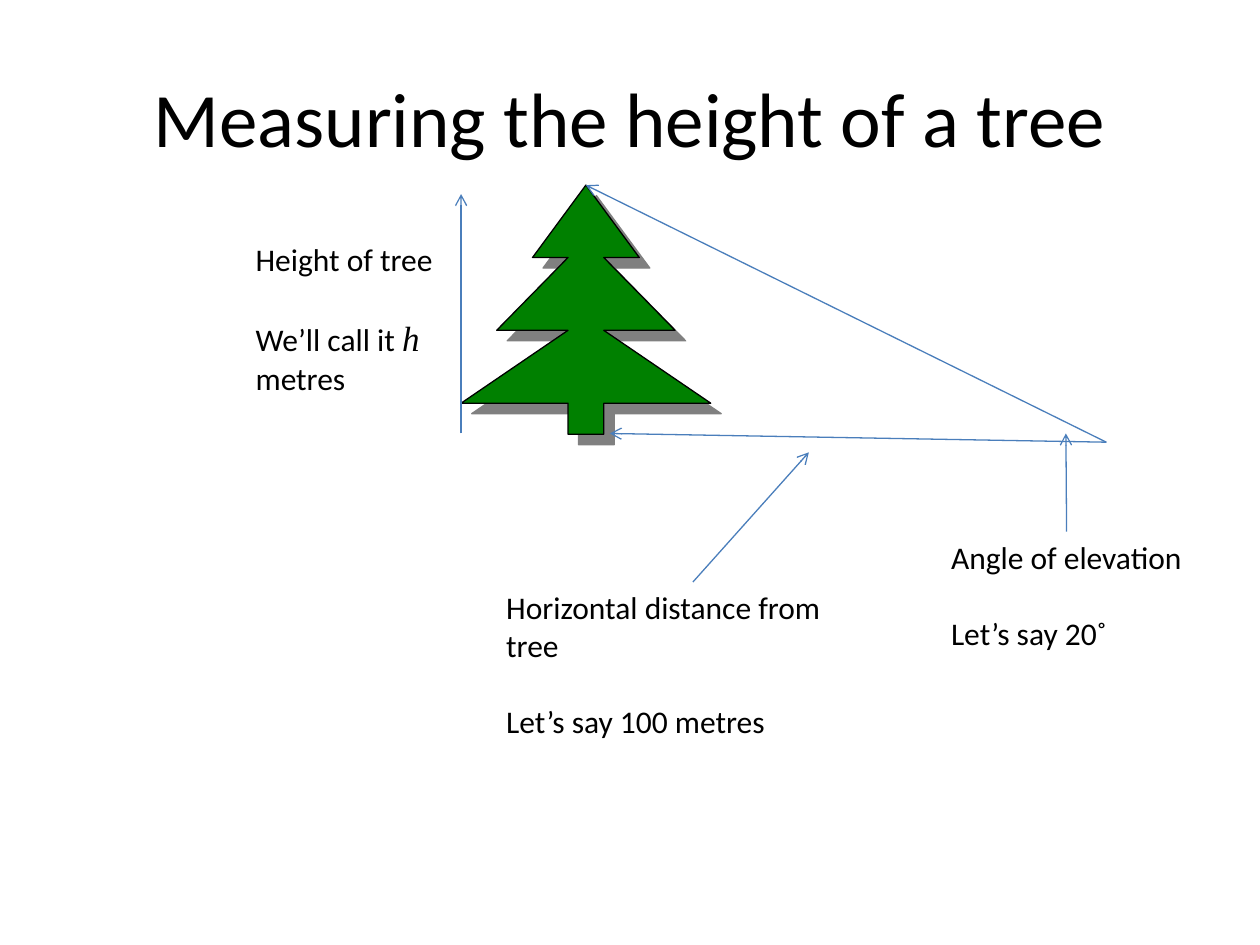
from lxml import etree
from pptx import Presentation
from pptx.dml.color import RGBColor
from pptx.enum.shapes import MSO_CONNECTOR
from pptx.enum.text import MSO_ANCHOR, PP_ALIGN
from pptx.oxml import parse_xml
from pptx.oxml.ns import nsdecls, qn
from pptx.util import Pt

STRAIGHT = MSO_CONNECTOR.STRAIGHT
TOP, MIDDLE = MSO_ANCHOR.TOP, MSO_ANCHOR.MIDDLE
LEFT, CENTER = PP_ALIGN.LEFT, PP_ALIGN.CENTER

prs = Presentation()
prs.slide_width, prs.slide_height = Pt(720), Pt(540)
s = prs.slides.add_slide(prs.slide_layouts[6])


def color(value):
    return RGBColor.from_string(value)


def add_text(paragraphs, x, y, w, h, size=18, align=LEFT, anchor=TOP, right=7.2, gap=22):
    """Each paragraph is a list of runs; gap is the space above the second one."""
    sp = s.shapes.add_textbox(Pt(x), Pt(y), Pt(w), Pt(h))
    tf = sp.text_frame
    tf.word_wrap = True
    tf.vertical_anchor = anchor
    tf.margin_right = Pt(right)
    for i, runs in enumerate(paragraphs):
        p = tf.paragraphs[0] if i == 0 else tf.add_paragraph()
        p.alignment = align
        if i == 1:
            p.space_before = Pt(gap)
        for text in runs:
            r = p.add_run()
            r.text = text
            is_variable = text == "h"
            r.font.name = "Times New Roman" if is_variable else "Calibri"
            r.font.size = Pt(size + 2 if is_variable else size)
            r.font.italic = is_variable
            r.font.color.rgb = color("000000")
    return sp


# Title
add_text([["Measuring the height of a tree"]], 36, 21.6, 648, 90,
         size=44, align=CENTER, anchor=MIDDLE)

# Tree: right half from the tip down, mirrored for the left half
CENTER_X = 334.8
half = [(0, 105.8), (30.5, 147.2), (10.2, 147.2), (51, 188.8), (10.2, 188.8),
        (71.3, 230.4), (10.2, 230.4), (10.2, 248.2)]
outline = [(CENTER_X + dx, y) for dx, y in half]
outline += [(CENTER_X - dx, y) for dx, y in reversed(half[1:])]
points = [(Pt(x), Pt(y)) for x, y in outline]
builder = s.shapes.build_freeform(*points[0])
builder.add_line_segments(points[1:], close=True)
tree = builder.convert_to_shape()
tree.fill.solid()
tree.fill.fore_color.rgb = color("008000")
tree.line.color.rgb = color("000000")
tree.line.width = Pt(0.75)
tree.shadow.inherit = False
tree._element.spPr.find(qn("a:effectLst")).append(parse_xml(
    f'<a:outerShdw {nsdecls("a")} dist="{Pt(8.5)}" dir="2700000" algn="ctr" '
    'rotWithShape="0"><a:srgbClr val="808080"/></a:outerShdw>'))

# Labels
angle = add_text([["Angle of elevation"], ["Let’s say 20˚"]],
                 536.4, 303.8, 146.2, 72, right=0)
distance = add_text([["Horizontal distance from tree"], ["Let’s say 100 metres"]],
                    282.2, 332.6, 227.5, 94, right=12)
add_text([["Height of tree"], ["We’ll call it ", "h"], ["metres"]],
         139, 133.9, 122.4, 95.8)

# Arrows: base line, sight line, angle pointer, distance pointer, height
observer = (632.2, 252.7)
arrows = [
    (observer, (348.5, 247.7), None),
    (observer, (CENTER_X, 105.8), None),
    ((609.5, 303.8), (609.1, 247.7), angle),
    ((396, 332.6), (462.2, 258.5), distance),
    ((263.5, 247.7), (263.5, 110.9), None),
]
for start, end, label in arrows:
    c = s.shapes.add_connector(STRAIGHT, *map(Pt, start + end))
    if label is not None:
        c.begin_connect(label, 0)
    c.line.color.rgb = color("4A7EBB")
    c.line.width = Pt(0.75)
    etree.SubElement(c.line._get_or_add_ln(), qn("a:tailEnd"), type="arrow")
    etree.SubElement(c._element.spPr, qn("a:effectLst"))

prs.save("out.pptx")
